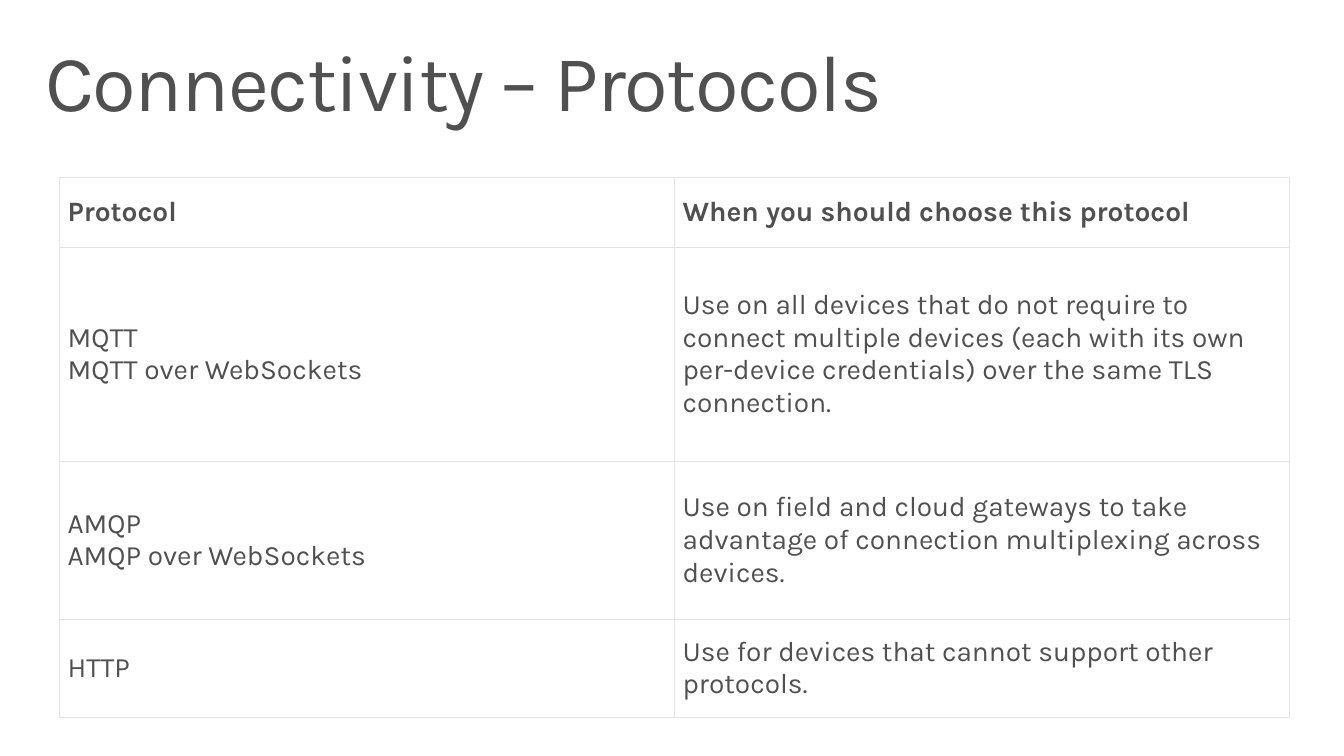
"""Build the slide comparing connectivity protocols and when to choose each."""
from lxml import etree
from pptx import Presentation
from pptx import util as u
from pptx.dml.color import RGBColor
from pptx.enum import text
from pptx.oxml import ns

TITLE = "Connectivity – Protocols"
PROTOCOLS = [
    ("Protocol", "When you should choose this protocol"),
    ("MQTT\vMQTT over WebSockets",
     "Use on all devices that do not require to connect multiple devices "
     "(each with its own per-device credentials) over the same TLS connection."),
    ("AMQP\vAMQP over WebSockets",
     "Use on field and cloud gateways to take advantage of connection "
     "multiplexing across devices."),
    ("HTTP", "Use for devices that cannot support other protocols."),
]
ROW_HEIGHTS = [0.69, 2.13, 1.56, 0.98]
COLUMN_WIDTH = 6.1
THEME = {
    "font": "Karla", "ink": "505050", "paper": "FFFFFF", "rule": "E3E3E3",
    "title_size": 56.9, "cell_size": 20, "outer_rule": 1, "inner_rule": 0.38,
}


def style_font(font, size, bold=False):
    font.name = THEME["font"]
    font.size = u.Pt(size)
    font.bold = bold
    font.color.rgb = RGBColor.from_string(THEME["ink"])


def set_margins(target, across, down):
    target.margin_left = target.margin_right = u.Inches(across)
    target.margin_top = target.margin_bottom = u.Inches(down)


def add_borders(cell, widths):
    properties = cell._tc.get_or_add_tcPr()
    for place, (side, width) in enumerate(widths.items()):
        border = etree.Element(ns.qn(f"a:ln{side}"), w=str(int(u.Pt(width))))
        fill = etree.SubElement(border, ns.qn("a:solidFill"))
        etree.SubElement(fill, ns.qn("a:srgbClr"), val=THEME["rule"])
        properties.insert(place, border)


def add_title(slide):
    heading = slide.shapes.add_textbox(
        u.Inches(0.29), u.Inches(0.32), u.Inches(12.74), u.Inches(0.98))
    frame = heading.text_frame
    frame.word_wrap = True
    set_margins(frame, 0.16, 0.1)
    frame.text = TITLE
    line = frame.paragraphs[0]
    line.line_spacing = 0.9
    run = line.runs[0]
    style_font(run.font, THEME["title_size"])
    run._r.get_or_add_rPr().set("spc", "-100")


def add_protocol_table(slide):
    columns = len(PROTOCOLS[0])
    last = len(PROTOCOLS) - 1
    table = slide.shapes.add_table(
        len(PROTOCOLS), columns, u.Inches(0.59), u.Inches(1.76),
        u.Inches(COLUMN_WIDTH * columns), u.Inches(sum(ROW_HEIGHTS))).table
    table.first_row = table.horz_banding = False
    for column in table.columns:
        column.width = u.Inches(COLUMN_WIDTH)
    outer, inner = THEME["outer_rule"], THEME["inner_rule"]
    for index, entries in enumerate(PROTOCOLS):
        table.rows[index].height = u.Inches(ROW_HEIGHTS[index])
        borders = {"L": outer, "R": outer,
                   "T": outer if index == 0 else inner,
                   "B": outer if index == last else inner}
        for column, entry in enumerate(entries):
            cell = table.cell(index, column)
            cell.vertical_anchor = text.MSO_ANCHOR.MIDDLE
            set_margins(cell, 0.08, 0.06)
            cell.fill.solid()
            cell.fill.fore_color.rgb = RGBColor.from_string(THEME["paper"])
            add_borders(cell, borders)
            cell.text_frame.text = entry
            for run in cell.text_frame.paragraphs[0].runs:
                style_font(run.font, THEME["cell_size"], bold=index == 0)


def main():
    deck = Presentation()
    deck.slide_width, deck.slide_height = u.Inches(13.33), u.Inches(7.5)
    slide = deck.slides.add_slide(deck.slide_layouts[6])
    add_title(slide)
    add_protocol_table(slide)
    deck.save("out.pptx")


if __name__ == "__main__":
    main()
